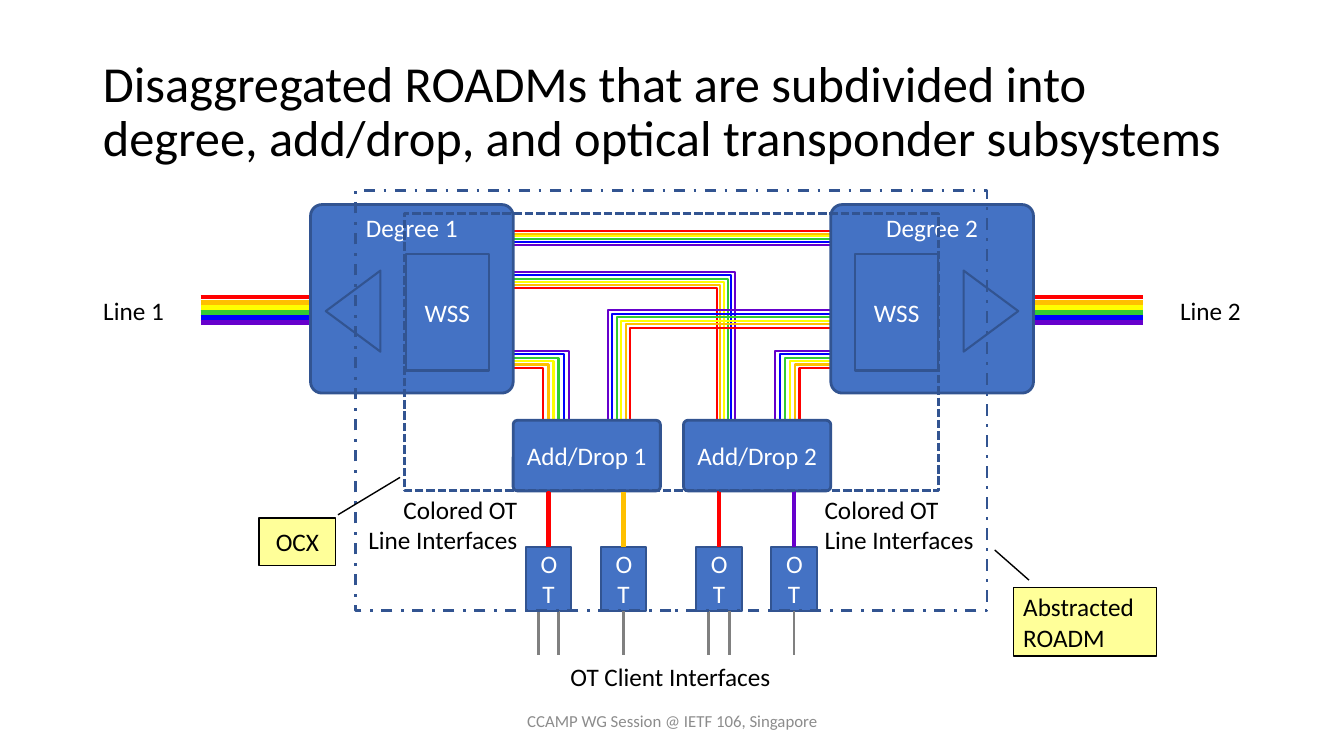
import dataclasses

import lxml.etree
import pptx
import pptx.dml.color
import pptx.enum.dml
import pptx.enum.shapes
import pptx.enum.text
import pptx.oxml.ns
import pptx.util

SHAPE = pptx.enum.shapes.MSO_SHAPE
CONNECTOR = pptx.enum.shapes.MSO_CONNECTOR
ALIGN = pptx.enum.text.PP_ALIGN
ANCHOR = pptx.enum.text.MSO_ANCHOR
DASH = pptx.enum.dml.MSO_LINE


@dataclasses.dataclass(frozen=True)
class Theme:
    font: str = "Calibri"
    title_size: float = 36
    body_size: float = 18
    footer_size: float = 12
    text: str = "000000"
    light_text: str = "FFFFFF"
    muted_text: str = "8C8C8C"
    block: str = "4472C4"
    block_edge: str = "325491"
    note: str = "FFFF99"
    client: str = "808080"
    red: str = "FF0000"
    orange: str = "FFC000"
    violet: str = "6600CC"
    wavelengths: tuple = ("FF0000", "FFC000", "FFFF00", "33CC33", "0000FF", "6600CC")


THEME = Theme()


@dataclasses.dataclass(frozen=True)
class Box:
    """A region of the slide grid, whose columns and rows are one inch each."""
    left: float
    top: float
    width: float
    height: float

    def inner(self, left, top, width, height):
        """Return an inner box given as shares of this one."""
        return Box(self.x(left), self.y(top), width * self.width, height * self.height)

    def x(self, share):
        return self.left + share * self.width

    def y(self, share):
        return self.top + share * self.height

    def lengths(self):
        return [pptx.util.Inches(v) for v in (self.left, self.top, self.width, self.height)]


def rgb(value):
    return pptx.dml.color.RGBColor.from_string(value)


def write(shape, text, color=THEME.text, size=THEME.body_size, align=ALIGN.CENTER,
          anchor=ANCHOR.MIDDLE, breaks=False):
    """Fill a text frame; each line is a paragraph, or follows a line break."""
    frame = shape.text_frame
    frame.word_wrap = True
    frame.auto_size = pptx.enum.text.MSO_AUTO_SIZE.NONE
    frame.vertical_anchor = anchor
    paragraph = frame.paragraphs[0]
    paragraph.alignment = align
    for index, line in enumerate(text.split("\n")):
        if index and breaks:
            paragraph.add_line_break()
        elif index:
            paragraph = frame.add_paragraph()
            paragraph.alignment = align
        run = paragraph.add_run()
        run.text = line
        run.font.name = THEME.font
        run.font.size = pptx.util.Pt(size)
        run.font.color.rgb = rgb(color)
    return frame


def add_label(slide, box, text, **style):
    return write(slide.shapes.add_textbox(*box.lengths()), text, breaks=True, **style)


def add_block(slide, box, kind=SHAPE.RECTANGLE, fill=THEME.block, edge=THEME.block_edge,
              weight=1.5):
    shape = slide.shapes.add_shape(kind, *box.lengths())
    shape.shadow.inherit = False
    if fill:
        shape.fill.solid()
        shape.fill.fore_color.rgb = rgb(fill)
    else:
        shape.fill.background()
    shape.line.color.rgb = rgb(edge)
    shape.line.width = pptx.util.Pt(weight)
    return shape


def add_rounded_block(slide, box):
    block = add_block(slide, box, SHAPE.ROUNDED_RECTANGLE, weight=2)
    block.adjustments[0] = 0.06
    return block


def add_line(slide, start, end, color, weight, kind=CONNECTOR.STRAIGHT):
    line = slide.shapes.add_connector(kind, *map(pptx.util.Inches, (*start, *end)))
    line.line.color.rgb = rgb(color)
    line.line.width = pptx.util.Pt(weight)
    properties = line._element.spPr
    lxml.etree.SubElement(properties, pptx.oxml.ns.qn("a:effectLst"))
    if kind == CONNECTOR.ELBOW:
        geometry = properties.find(pptx.oxml.ns.qn("a:prstGeom"))
        guides = geometry.find(pptx.oxml.ns.qn("a:avLst"))
        guide = lxml.etree.SubElement(guides, pptx.oxml.ns.qn("a:gd"))
        guide.set("name", "adj1")
        guide.set("fmla", "val 0")
    return line


def add_straight_bundle(slide, box, weight):
    """Spread one horizontal line per wavelength over the height of the box."""
    last = len(THEME.wavelengths) - 1
    for index, color in enumerate(THEME.wavelengths):
        y = box.y(index / last)
        add_line(slide, (box.left, y), (box.x(1), y), color, weight)


def add_bent_bundle(slide, drop_columns, port_rows, port_column, drop_row):
    """Run lines up from the add/drop block and across to a degree, red to violet."""
    last = len(THEME.wavelengths) - 1
    for index, color in enumerate(THEME.wavelengths):
        x, y = (first + (final - first) * index / last
                for first, final in (drop_columns, port_rows))
        add_line(slide, (x, drop_row), (port_column, y), color, 1.5, CONNECTOR.ELBOW)


def add_degree(slide, box, name, mirrored):
    degree = add_rounded_block(slide, box)
    frame = write(degree, name, THEME.light_text, anchor=ANCHOR.TOP)
    frame.margin_top = pptx.util.Inches(0.04)

    def side(left, width):
        return 1 - left - width if mirrored else left

    amplifier = add_block(slide, box.inner(side(0.01, 0.4), 0.42, 0.4, 0.29),
                          SHAPE.ISOSCELES_TRIANGLE)
    amplifier.rotation = 90 if mirrored else 270
    switch = add_block(slide, box.inner(side(0.47, 0.41), 0.26, 0.41, 0.62))
    write(switch, "WSS", THEME.light_text)


def add_add_drop(slide, box, name, colors):
    """Place an add/drop block with its two transponders and their client lines."""
    write(add_rounded_block(slide, box), name, THEME.light_text)
    client_end = box.y(3.33)
    for center, color, client_offsets in zip((0.24, 0.75), colors, ((-0.07, 0.07), (0,))):
        place = box.inner(center - 0.155, 1.79, 0.31, 0.91)
        transponder = add_block(slide, place)
        write(transponder, "OT", THEME.light_text)
        stem = add_line(slide, (box.x(center), box.y(1)), (box.x(center), place.top), color, 3)
        stem.end_connect(transponder, 0)
        for offset in client_offsets:
            x = box.x(center + offset)
            client = add_line(slide, (x, place.y(1)), (x, client_end), THEME.client, 2)
            if offset == 0:
                client.begin_connect(transponder, 2)


def add_frame(slide, box, dash):
    add_block(slide, box, fill=None, weight=2).line.dash_style = dash


def add_callout(slide, box, text, align, pointer):
    callout = add_block(slide, box, SHAPE.LINE_CALLOUT_1, THEME.note, THEME.text, 1)
    for index, share in enumerate(pointer):
        callout.adjustments[index] = share
    write(callout, text, align=align)


def add_title(slide, box):
    title = slide.shapes.title
    title.left, title.top, title.width, title.height = box.lengths()
    frame = write(title, "Disaggregated ROADMs that are subdivided into\n"
                  "degree, add/drop, and optical transponder subsystems",
                  size=THEME.title_size, align=ALIGN.LEFT, breaks=True)
    frame.paragraphs[0].line_spacing = 0.9


def add_network(slide):
    degrees = Box(3.08, 2.03, 2.01, 1.87), Box(8.24, 2.03, 2.01, 1.87)
    add_drops = Box(5.09, 4.17, 1.46, 0.7), Box(6.78, 4.17, 1.46, 0.7)
    west, east = degrees[0].x(1), degrees[1].left
    for drop_columns, port_rows, port in (((7.11, 7.29), (2.86, 2.7), west),
                                          ((6.25, 6.03), (3.25, 3.08), east),
                                          ((7.93, 7.69), (3.65, 3.48), east),
                                          ((5.39, 5.64), (3.65, 3.48), west)):
        add_bent_bundle(slide, drop_columns, port_rows, port, add_drops[0].top)
    add_straight_bundle(slide, Box(west, 2.29, east - west, 0.14), 1.5)
    for left in (degrees[0].left - 1.09, degrees[1].x(1)):
        add_straight_bundle(slide, Box(left, 2.95, 1.09, 0.25), 3)
    for index, box in enumerate(degrees):
        add_degree(slide, box, f"Degree {index + 1}", mirrored=index == 1)
    stem_colors = (THEME.red, THEME.orange), (THEME.red, THEME.violet)
    for index, box in enumerate(add_drops):
        add_add_drop(slide, box, f"Add/Drop {index + 1}", stem_colors[index])


def add_annotations(slide):
    add_label(slide, Box(0.89, 2.88, 0.87, 0.4), "Line 1")
    add_label(slide, Box(11.57, 2.88, 0.87, 0.4), "Line 2")
    add_label(slide, Box(5.32, 6.51, 2.66, 0.4), "OT Client Interfaces")
    for left, align in ((3.38, ALIGN.RIGHT), (8.08, ALIGN.LEFT)):
        add_label(slide, Box(left, 4.85, 1.85, 0.71), "Colored OT\nLine Interfaces", align=align)
    add_frame(slide, Box(4.01, 2.12, 5.3, 2.75), DASH.SQUARE_DOT)
    add_frame(slide, Box(3.53, 1.89, 6.26, 4.17), DASH.DASH_DOT)
    add_callout(slide, Box(10.05, 5.83, 1.42, 0.68), "Abstracted\nROADM", ALIGN.LEFT,
                (-0.11, 0.11, -0.55, -0.13))
    add_callout(slide, Box(2.57, 5.14, 0.76, 0.47), "OCX", ALIGN.CENTER,
                (-0.07, 1.03, -0.86, 1.84))


def main():
    presentation = pptx.Presentation()
    presentation.slide_width = pptx.util.Inches(13.33)
    presentation.slide_height = pptx.util.Inches(7.5)
    slide = presentation.slides.add_slide(presentation.slide_layouts.get_by_name("Title Only"))
    add_title(slide, Box(0.92, 0.4, 11.5, 1.45))
    add_label(slide, Box(4.42, 6.95, 4.5, 0.4), "CCAMP WG Session @ IETF 106, Singapore",
              color=THEME.muted_text, size=THEME.footer_size)
    add_network(slide)
    add_annotations(slide)
    presentation.save("out.pptx")


if __name__ == "__main__":
    main()
